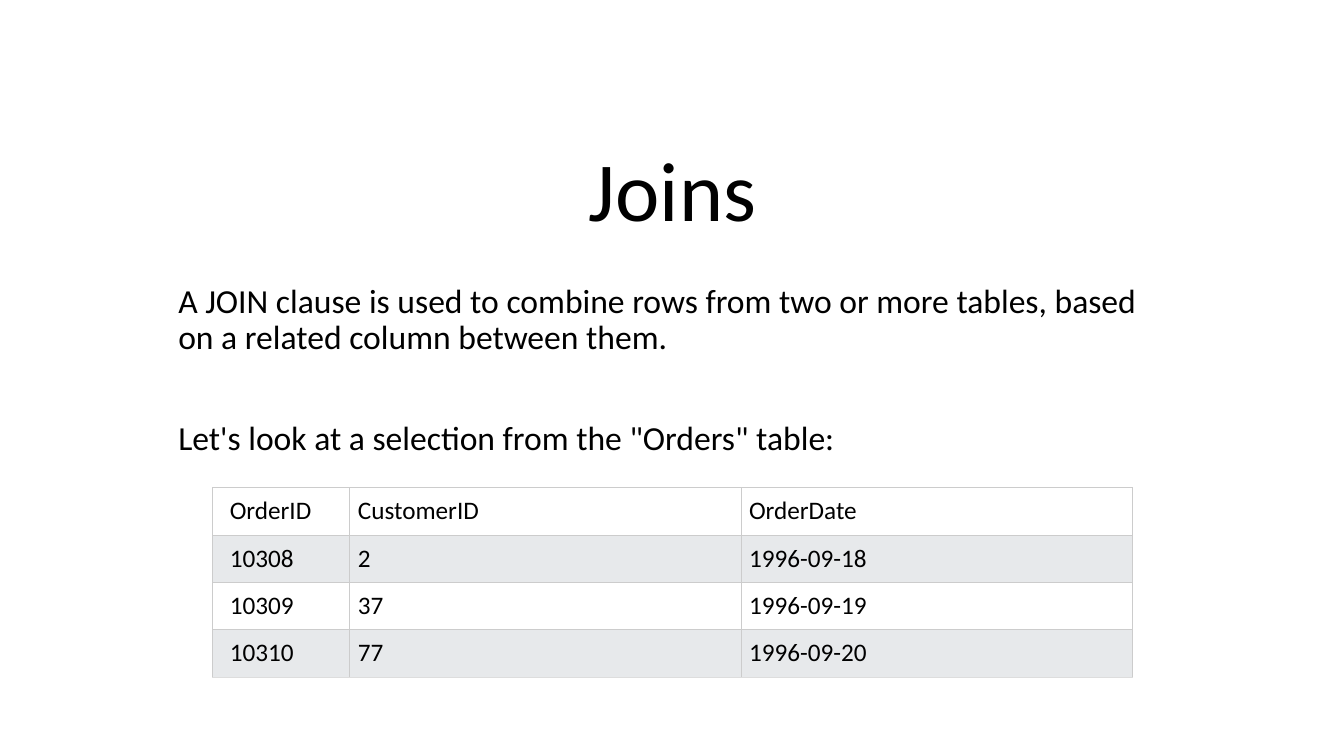
"""Build the Joins slide with its Orders table."""
from lxml.etree import SubElement
from pptx import Presentation
from pptx.dml.color import RGBColor
from pptx.enum.text import MSO_ANCHOR, PP_ALIGN
from pptx.oxml.ns import qn
from pptx.util import Inches, Pt

BLACK = RGBColor(0x00, 0x00, 0x00)
WHITE = RGBColor(0xFF, 0xFF, 0xFF)
BAND = RGBColor(0xE7, 0xE9, 0xEB)
GRID = RGBColor(0xCC, 0xCC, 0xCC)
FOOT = RGBColor(0xDD, 0xDD, 0xDD)


def style(para, size):
    for run in para.runs:
        run.font.name = "Calibri"
        run.font.size = Pt(size)
        run.font.color.rgb = BLACK


def border(cell, side, color):
    line = SubElement(cell._tc.get_or_add_tcPr(), qn(f"a:ln{side}"), w=str(Pt(0.75)))
    fill = SubElement(line, qn("a:solidFill"))
    SubElement(fill, qn("a:srgbClr"), val=str(color))


deck = Presentation()
deck.slide_width = Inches(13.33)
deck.slide_height = Inches(7.5)
slide = deck.slides.add_slide(deck.slide_layouts[6])

title = slide.shapes.add_textbox(Inches(1.67), Inches(1.23), Inches(10), Inches(1.2))
frame = title.text_frame
frame.word_wrap = True
frame.vertical_anchor = MSO_ANCHOR.BOTTOM
frame.text = "Joins"
head = frame.paragraphs[0]
head.alignment = PP_ALIGN.CENTER
head.line_spacing = 0.9
style(head, 60)

body = slide.shapes.add_textbox(Inches(1.67), Inches(2.77), Inches(10), Inches(4.24))
frame = body.text_frame
frame.word_wrap = True
frame.text = (
    "A JOIN clause is used to combine rows from two or more tables, "
    "based on a related column between them.\n"
    "Let's look at a selection from the \"Orders\" table:"
)
for para in frame.paragraphs:
    para.line_spacing = 0.9
    style(para, 24)
frame.paragraphs[1].space_before = Pt(46)

orders = [
    ("OrderID", "CustomerID", "OrderDate"),
    ("10308", "2", "1996-09-18"),
    ("10309", "37", "1996-09-19"),
    ("10310", "77", "1996-09-20"),
]
widths = [1.36, 3.88, 3.88]
table = slide.shapes.add_table(
    len(orders), len(widths), Inches(2.11), Inches(4.84), Inches(9.12), Inches(1.88)
).table
for col, width in zip(table.columns, widths):
    col.width = Inches(width)

for i, order in enumerate(orders):
    table.rows[i].height = Inches(0.47)
    for j, value in enumerate(order):
        cell = table.cell(i, j)
        cell.text = value
        style(cell.text_frame.paragraphs[0], 18)
        cell.margin_left = Inches(0.08 if j else 0.17)
        cell.margin_right = cell.margin_top = cell.margin_bottom = Inches(0.08)
        for side in "LRT":
            border(cell, side, GRID)
        border(cell, "B", FOOT if i == len(orders) - 1 else GRID)
        cell.fill.solid()
        cell.fill.fore_color.rgb = BAND if i % 2 else WHITE

deck.save("out.pptx")
